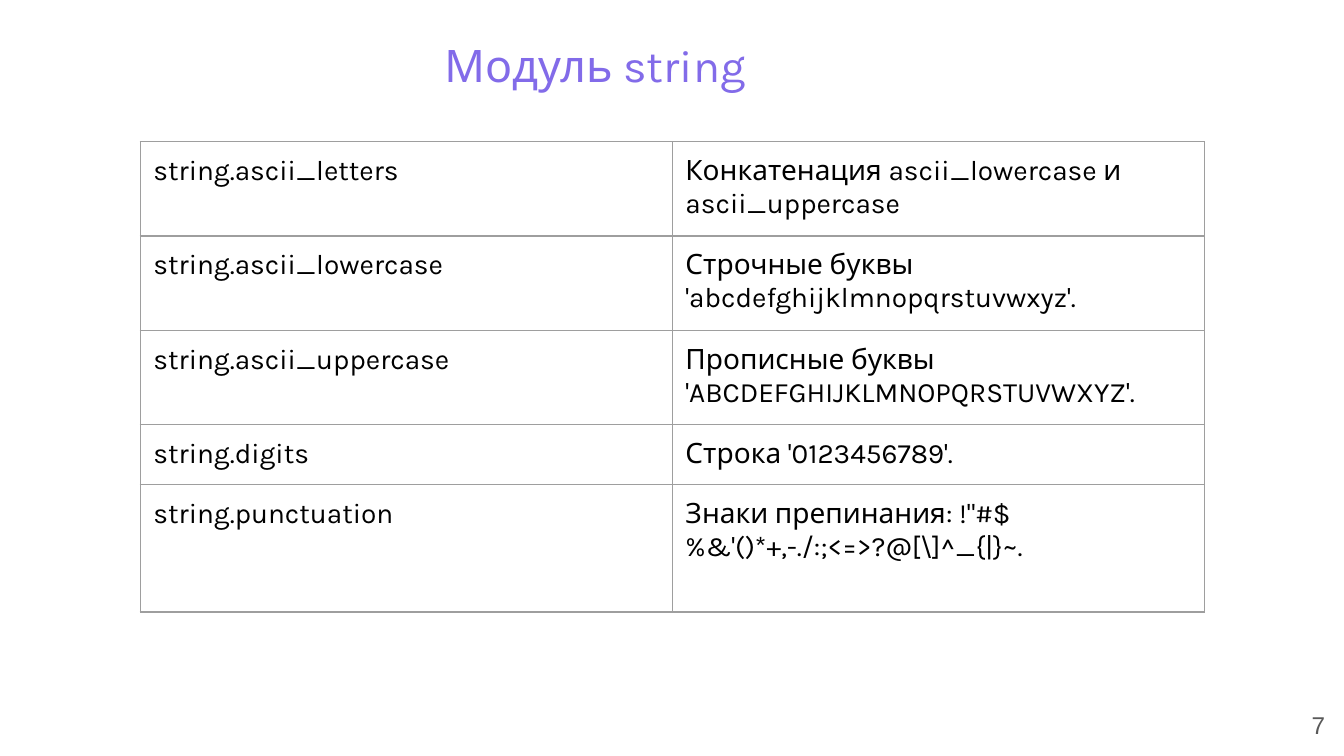
from lxml import etree
from pptx import Presentation
from pptx.dml.color import RGBColor
from pptx.enum import text
from pptx.oxml import ns
from pptx.util import Cm, Pt

COLOURS = {"title": "826BE9", "body": "000000", "number": "595959", "border": "9E9E9E"}
INSET = Cm(0.25)
CONSTANTS = [
    ("string.ascii_letters", "Конкатенация ascii_lowercase и ascii_uppercase"),
    ("string.ascii_lowercase", "Строчные буквы 'abcdefghijklmnopqrstuvwxyz'."),
    ("string.ascii_uppercase", "Прописные буквы 'ABCDEFGHIJKLMNOPQRSTUVWXYZ'."),
    ("string.digits", "Строка '0123456789'."),
    ("string.punctuation", "Знаки препинания: !\"#$%&'()*+,-./:;<=>?@[\\]^_{|}~."),
]
ROW_HEIGHTS = [1.78, 1.78, 1.78, 1.14, 2.41]


class PageBuilder:
    def __init__(self, page, font="Karla"):
        self.page = page
        self.font = font

    def add_text(self, frame, words, size, colour, align=text.PP_ALIGN.LEFT, font=None):
        paragraph = frame.paragraphs[0]
        paragraph.alignment = align
        span = paragraph.add_run()
        span.text = words
        span.font.name = font or self.font
        span.font.size = Pt(size)
        span.font.color.rgb = RGBColor.from_string(COLOURS[colour])

    def inset(self, holder):
        """Give a text frame or a table cell the common margins."""
        holder.margin_left = holder.margin_right = INSET
        holder.margin_top = holder.margin_bottom = INSET
        holder.vertical_anchor = text.MSO_ANCHOR.TOP

    def title(self, words, left, top, width, height):
        box = self.page.shapes.title
        box.left, box.top, box.width, box.height = Cm(left), Cm(top), Cm(width), Cm(height)
        self.inset(box.text_frame)
        box.text_frame.word_wrap = True
        box.text_frame.auto_size = text.MSO_AUTO_SIZE.SHAPE_TO_FIT_TEXT
        self.add_text(box.text_frame, words, 24, "title")

    def page_number(self, words, left, top, width, height):
        box = self.page.shapes.add_textbox(Cm(left), Cm(top), Cm(width), Cm(height))
        self.inset(box.text_frame)
        box.text_frame.word_wrap = True
        self.add_text(box.text_frame, words, 13, "number", text.PP_ALIGN.RIGHT, "Arial")

    def border(self, cell):
        properties = cell._tc.get_or_add_tcPr()
        for side in ("a:lnL", "a:lnR", "a:lnT", "a:lnB"):
            line = etree.SubElement(properties, ns.qn(side), w=str(Pt(0.75)))
            fill = etree.SubElement(line, ns.qn("a:solidFill"))
            etree.SubElement(fill, ns.qn("a:srgbClr"), val=COLOURS["border"])

    def table(self, rows, heights, left, top, width):
        frame = self.page.shapes.add_table(
            len(rows), len(rows[0]), Cm(left), Cm(top), Cm(width), Cm(sum(heights)))
        grid = frame.table
        grid.first_row = grid.horz_banding = False
        for row, height, entries in zip(grid.rows, heights, rows):
            row.height = Cm(height)
            for cell, words in zip(row.cells, entries):
                self.inset(cell)
                self.border(cell)
                cell.fill.background()
                self.add_text(cell.text_frame, words, 15, "body")


def main():
    deck = Presentation()
    deck.slide_width, deck.slide_height = Cm(25.4), Cm(14.29)
    builder = PageBuilder(deck.slides.add_slide(deck.slide_layouts[5]))
    builder.page_number("7", 23.77, 13.18, 1.52, 1.09)
    builder.title("Модуль string", 8.15, 0.46, 7.77, 1.55)
    builder.table(CONSTANTS, ROW_HEIGHTS, 2.65, 2.68, 20.11)
    deck.save("out.pptx")


if __name__ == "__main__":
    main()
